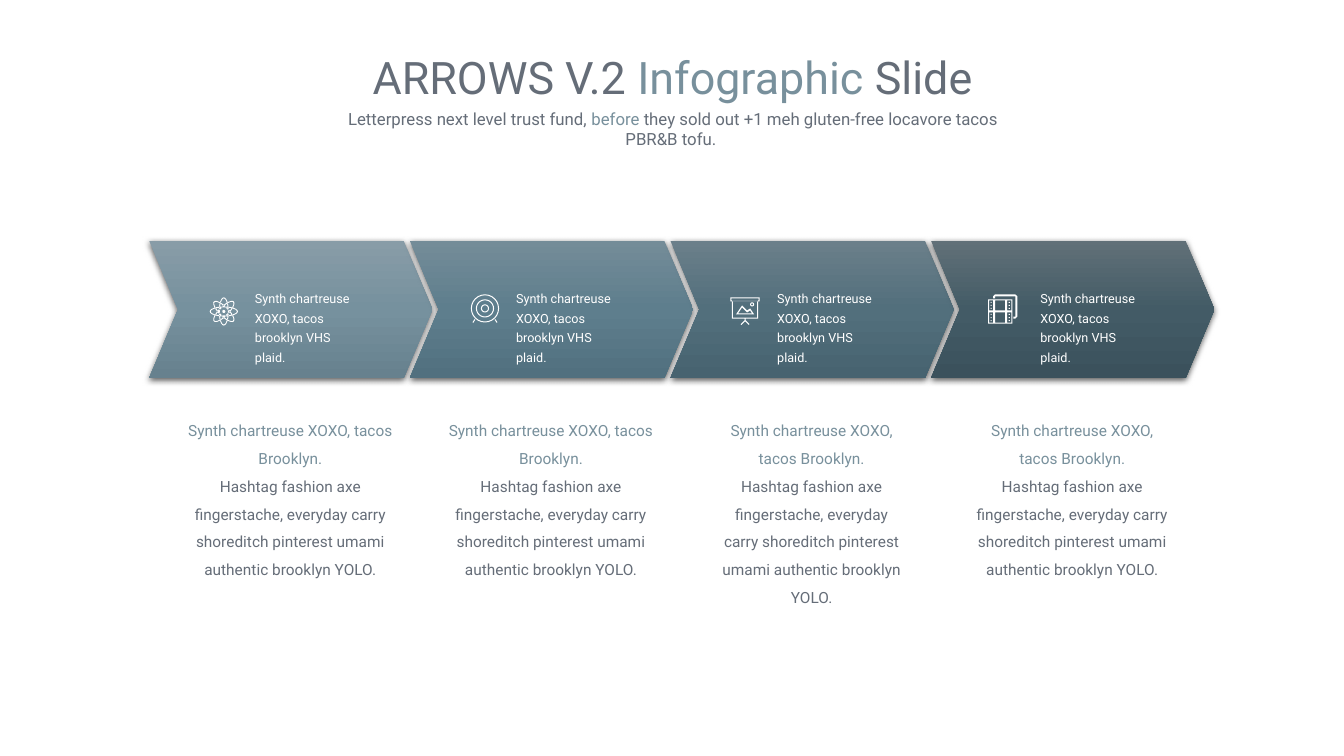
from dataclasses import dataclass
from math import cos, hypot, pi, radians, sin

from lxml import etree
from pptx import Presentation
from pptx.dml.color import RGBColor
from pptx.enum import shapes, text
from pptx.oxml import ns
from pptx.util import Inches, Pt


@dataclass(frozen=True)
class Theme:
    """Colours, font and type sizes of the slide."""
    font: str = "Roboto"
    ink: str = "656D78"
    accent: str = "78909C"
    white: str = "FFFFFF"
    title: int = 32
    subtitle: int = 12
    body: int = 11
    label: int = 9
    gradients: tuple = (
        ("889CA7", "76919E", "67818E"),
        ("748C98", "5E7E8D", "51707F"),
        ("6B7F8A", "526F7C", "476370"),
        ("617078", "435B66", "3B515C"),
    )


T = Theme()
STEP = 2.585
THIN = 0.01
LABEL = "Synth chartreuse XOXO, tacos brooklyn VHS plaid."
HEADING = "Synth chartreuse XOXO, tacos Brooklyn."
BODY = ("Hashtag fashion axe fingerstache, everyday carry shoreditch "
        "pinterest umami authentic brooklyn YOLO.")


def write(s, paragraphs, size, align=text.PP_ALIGN.CENTER, spacing=1.0):
    """Fill a shape with paragraphs, each a list of (text, colour) runs."""
    tf = s.text_frame
    tf.word_wrap = True
    tf.auto_size = text.MSO_AUTO_SIZE.SHAPE_TO_FIT_TEXT
    tf.vertical_anchor = text.MSO_ANCHOR.TOP
    for i, runs in enumerate(paragraphs):
        p = tf.add_paragraph() if i else tf.paragraphs[0]
        p.alignment, p.line_spacing = align, spacing
        p.space_before = p.space_after = Pt(0)
        for content, color in runs:
            r = p.add_run()
            r.text = content
            r.font.name, r.font.size = T.font, Pt(size)
            r.font.color.rgb = RGBColor.from_string(color)


def place(s, x, y, w, h):
    """Move and size a placeholder."""
    s.left, s.top, s.width, s.height = map(Inches, (x, y, w, h))
    return s


def add_arrow(parent, x, colors):
    """Add a chevron with a vertical gradient and a soft shadow."""
    s = parent.add_shape(shapes.MSO_SHAPE.CHEVRON, Inches(x), Inches(2.39),
                         Inches(2.81), Inches(1.36))
    s.adjustments[0] = 0.21
    s.line.fill.background()
    s.fill.gradient()
    s.fill.gradient_angle = 270
    stops = s.element.spPr.find(".//" + ns.qn("a:gsLst"))
    for stop in list(stops):
        stops.remove(stop)
    for i, color in enumerate(colors):
        stop = etree.SubElement(stops, ns.qn("a:gs"), pos=str(i * 50000))
        etree.SubElement(stop, ns.qn("a:srgbClr"), val=color)
    s.shadow.inherit = False
    effects = s.element.spPr.find(ns.qn("a:effectLst"))
    shadow = etree.SubElement(effects, ns.qn("a:outerShdw"), blurRad=str(Pt(4.5)),
                              dist=str(Pt(1.5)), dir="5400000", rotWithShape="0")
    black = etree.SubElement(shadow, ns.qn("a:srgbClr"), val="000000")
    etree.SubElement(black, ns.qn("a:alpha"), val="63000")


def oval(x, y, w, h, angle=0, count=24):
    """Return the points of an ellipse turned by an angle in degrees."""
    c, s = cos(radians(angle)), sin(radians(angle))
    turns = [2 * pi * i / count for i in range(count)]
    flat = [(w / 2 * cos(t), h / 2 * sin(t)) for t in turns]
    return [(x + u * c - v * s, y + u * s + v * c) for u, v in flat]


def box(x, y, w, h):
    """Return the corners of a rectangle centred on a point."""
    return [(x + i * w / 2, y + j * h / 2) for i, j in ((-1, -1), (1, -1), (1, 1), (-1, 1))]


def ring(outline, x, y, w, h, *args):
    """Return an outer and an inner contour that enclose a thin band."""
    return [outline(x, y, w, h, *args), outline(x, y, w - 2 * THIN, h - 2 * THIN, *args)]


def bar(x1, y1, x2, y2):
    """Return the corners of a thin straight bar."""
    length = hypot(x2 - x1, y2 - y1)
    dx, dy = (y1 - y2) / length * THIN / 2, (x2 - x1) / length * THIN / 2
    return [(x1 + dx, y1 + dy), (x2 + dx, y2 + dy), (x2 - dx, y2 - dy), (x1 - dx, y1 - dy)]


def atom():
    """Return four crossed orbits around a nucleus."""
    orbits = [c for angle in range(0, 180, 45) for c in ring(oval, 0, 0, 0.1, 0.28, angle)]
    return orbits + [oval(0, 0, 0.03, 0.03)]


def target():
    """Return three rings standing on two feet."""
    rings = [c for size in (0.28, 0.18, 0.08) for c in ring(oval, 0, 0, size, size)]
    return rings + [bar(i * 0.1, 0.11, i * 0.12, 0.14) for i in (-1, 1)]


def board():
    """Return a presentation board showing a landscape."""
    hill = [(-0.09, 0.04), (-0.03, -0.05), (0.02, 0), (0.05, -0.02), (0.09, 0.04)]
    cut = [(-0.07, 0.03), (-0.03, -0.03), (0.02, 0.02), (0.05, 0), (0.07, 0.03)]
    return [*ring(box, 0, -0.11, 0.29, 0.04), *ring(box, 0, -0.01, 0.26, 0.18),
            *ring(oval, 0.07, -0.06, 0.04, 0.04), hill, cut, bar(0, 0.08, 0, 0.11),
            bar(0, 0.1, -0.04, 0.14), bar(0, 0.1, 0.04, 0.14)]


def film():
    """Return two stacked film frames with perforations."""
    x, y = -0.02, 0.02
    sheet = [(-0.09, -0.11), (-0.09, -0.13), (-0.07, -0.15), (0.13, -0.15), (0.15, -0.13),
             (0.15, 0.07), (0.13, 0.09), (0.11, 0.09), (0.11, 0.07), (0.13, 0.07),
             (0.13, -0.13), (-0.07, -0.13), (-0.07, -0.11)]
    contours = [sheet, box(x, y, 0.24, 0.24)]
    for row in (y - 0.06, y + 0.06):
        contours.append(box(x, row, 0.1, 0.1))
        for column in (x - 0.09, x + 0.09):
            contours.append(box(column, row, 0.04, 0.1))
            contours += [box(column, row + i * 0.03, 0.01, 0.01) for i in (-1, 0, 1)]
    return contours


def add_icon(parent, cx, cy, contours):
    """Add a white icon made of closed contours around a centre."""
    builder = None
    for contour in contours:
        first, *rest = [(Inches(cx + x), Inches(cy + y)) for x, y in contour]
        if builder is None:
            builder = parent.build_freeform(*first)
        else:
            builder.move_to(*first)
        builder.add_line_segments(rest, close=True)
    s = builder.convert_to_shape()
    s.fill.solid()
    s.fill.fore_color.rgb = RGBColor.from_string(T.white)
    s.line.fill.background()
    s.shadow.inherit = False


def add_textbox(parent, x, y, w, h, paragraphs, **fmt):
    """Add a formatted text box."""
    s = parent.add_textbox(*map(Inches, (x, y, w, h)))
    write(s, paragraphs, **fmt)


def main():
    """Build the four-arrow infographic slide."""
    prs = Presentation()
    prs.slide_width, prs.slide_height = Inches(13.33), Inches(7.5)
    slide = prs.slides.add_slide(prs.slide_layouts[0])
    title, subtitle = slide.placeholders
    write(place(title, 2.54, 0.44, 8.26, 0.64),
          [[("ARROWS V.2 ", T.ink), ("Infographic ", T.accent), ("Slide", T.ink)]], T.title)
    write(place(subtitle, 3.2, 1.03, 6.95, 0.3),
          [[("Letterpress next level trust fund, ", T.ink), ("before", T.accent),
            (" they sold out +1 meh gluten-free locavore tacos PBR&B tofu. ", T.ink)]], T.subtitle)

    for i, colors in enumerate(T.gradients):
        add_arrow(slide.shapes, 1.48 + i * STEP, colors)
    for i, width in enumerate((2.32, 2.32, 2.05, 2.18)):
        add_textbox(slide.shapes, 2.88 + i * STEP - width / 2, 4.04, width, 1.74,
                    [[(HEADING, T.accent)], [(BODY, T.ink)]], size=T.body, spacing=1.5)
    for icon, cx, cy, label_x in ((atom, 2.22, 3.09, 2.43), (target, 4.81, 3.06, 5.02),
                                  (board, 7.39, 3.08, 7.61), (film, 9.94, 3.07, 10.22)):
        group = slide.shapes.add_group_shape().shapes
        add_textbox(group, label_x, 2.79, 1.25, 0.69, [[(LABEL, T.white)]],
                    size=T.label, align=text.PP_ALIGN.LEFT, spacing=1.3)
        add_icon(group, cx, cy, icon())
    prs.save("out.pptx")


if __name__ == "__main__":
    main()
